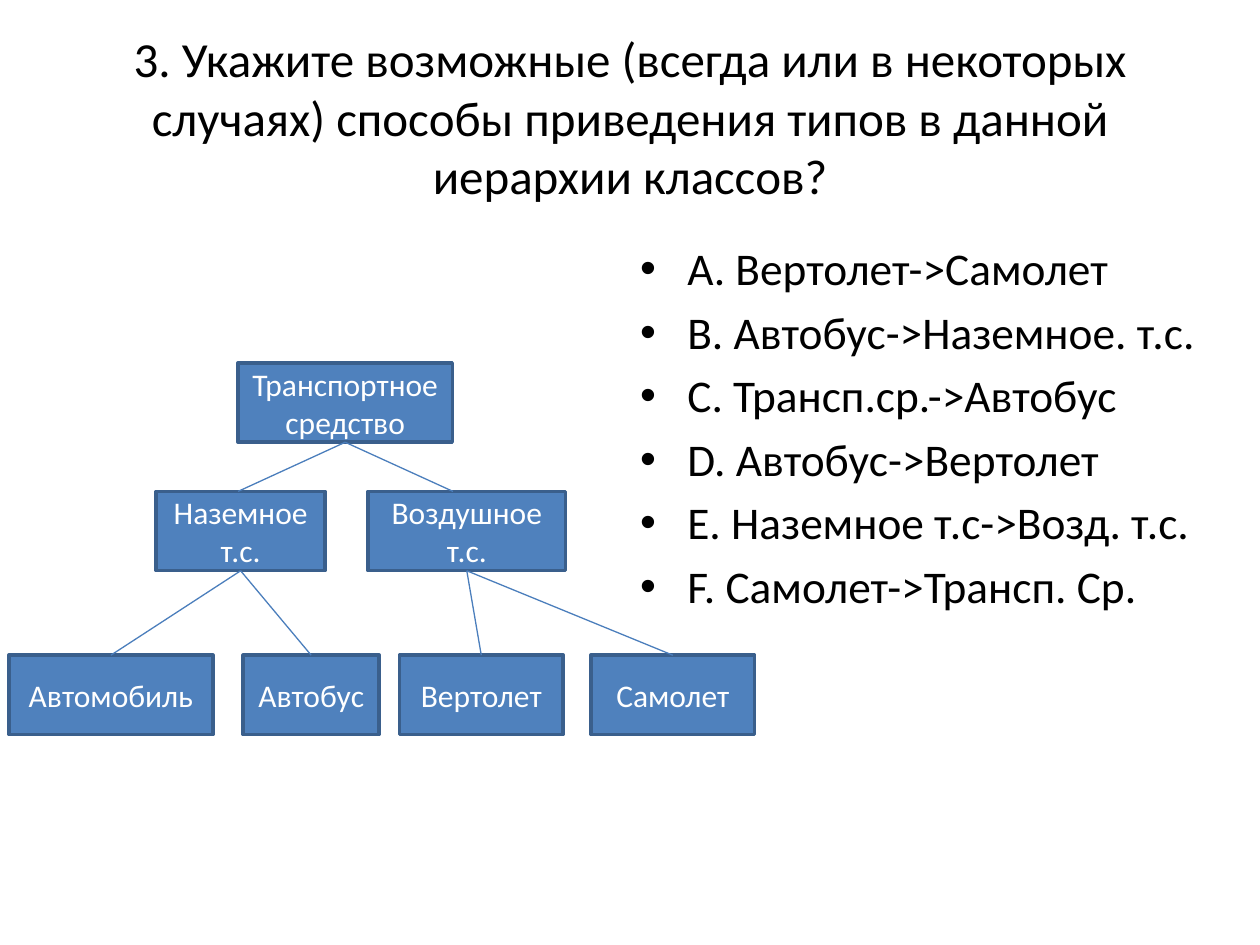
from pptx import Presentation
from pptx.dml.color import RGBColor
from pptx.enum.shapes import MSO_CONNECTOR as Connector, MSO_SHAPE as Shape
from pptx.enum.text import MSO_ANCHOR as Anchor, MSO_AUTO_SIZE as AutoSize, PP_ALIGN as Align
from pptx.oxml.ns import qn
from pptx.util import Inches, Pt
from lxml import etree

FONT = "Calibri"
BOX_HEIGHT = 0.63

TITLE = ("3. Укажите возможные (всегда или в некоторых случаях) "
         "способы приведения типов в данной иерархии классов?")
ANSWERS = [
    "A. Вертолет->Самолет",
    "B. Автобус->Наземное. т.с.",
    "C. Трансп.ср.->Автобус",
    "D. Автобус->Вертолет",
    "E. Наземное т.с->Возд. т.с.",
    "F. Самолет->Трансп. Ср.",
]

# Class key: label, left, top, width
CLASSES = {
    "vehicle": ("Транспортное средство", 1.89, 2.88, 1.7),
    "ground": ("Наземное т.с.", 1.24, 3.9, 1.34),
    "air": ("Воздушное т.с.", 2.92, 3.9, 1.57),
    "car": ("Автомобиль", 0.07, 5.2, 1.62),
    "bus": ("Автобус", 1.93, 5.2, 1.08),
    "helicopter": ("Вертолет", 3.17, 5.2, 1.3),
    "plane": ("Самолет", 4.69, 5.2, 1.3),
}
# Parent, child, shift of the lower end from the middle of the child
LINKS = [
    ("vehicle", "ground", -0.02),
    ("vehicle", "air", -0.11),
    ("ground", "car", 0),
    ("ground", "bus", 0),
    ("air", "helicopter", 0),
    ("air", "plane", 0),
]


def color(value):
    """Turn a hex string into a colour."""
    return RGBColor.from_string(value)


def format_text(frame, size, text_color, align=None):
    """Format every run in a text frame."""
    frame.word_wrap = True
    frame.auto_size = AutoSize.NONE
    for para in frame.paragraphs:
        if align is not None:
            para.alignment = align
        for span in para.runs:
            span.font.name = FONT
            span.font.size = Pt(size)
            span.font.color.rgb = color(text_color)


def fill_placeholder(box, text, place, size, align=None):
    """Move a placeholder and give it formatted text."""
    box.left, box.top, box.width, box.height = map(Inches, place)
    box.text_frame.text = text
    format_text(box.text_frame, size, "000000", align)


def add_class(page, label, left, top, width):
    """Draw one class of the hierarchy."""
    box = page.shapes.add_shape(Shape.RECTANGLE, Inches(left), Inches(top),
                                Inches(width), Inches(BOX_HEIGHT))
    box.shadow.inherit = False
    box.fill.solid()
    box.fill.fore_color.rgb = color("4F81BD")
    box.line.color.rgb = color("3A5F8C")
    box.line.width = Pt(2)
    box.text_frame.text = label
    box.text_frame.vertical_anchor = Anchor.MIDDLE
    format_text(box.text_frame, 18, "FFFFFF", Align.CENTER)
    return box


def add_link(page, parent, child, shift):
    """Join the bottom of a parent to the top of its child."""
    line = page.shapes.add_connector(
        Connector.STRAIGHT,
        parent.left + parent.width // 2, parent.top + parent.height,
        child.left + child.width // 2 + Inches(shift), child.top)
    line.line.color.rgb = color("4B7EBC")
    line.line.width = Pt(0.75)
    etree.SubElement(line._element.spPr, qn("a:effectLst"))


def main():
    """Build the slide and save it."""
    deck = Presentation()
    deck.slide_width, deck.slide_height = Inches(10), Inches(7.5)
    page = deck.slides.add_slide(deck.slide_layouts[1])

    title, body = page.placeholders
    fill_placeholder(title, TITLE, (0.5, 0.3, 9, 1.25), 28, Align.CENTER)
    title.text_frame.vertical_anchor = Anchor.MIDDLE
    fill_placeholder(body, "\n".join(ANSWERS), (4.98, 1.86, 5.05, 3.01), 25.9)

    boxes = {key: add_class(page, *entry) for key, entry in CLASSES.items()}
    for parent, child, shift in LINKS:
        add_link(page, boxes[parent], boxes[child], shift)

    deck.save("out.pptx")


main()
